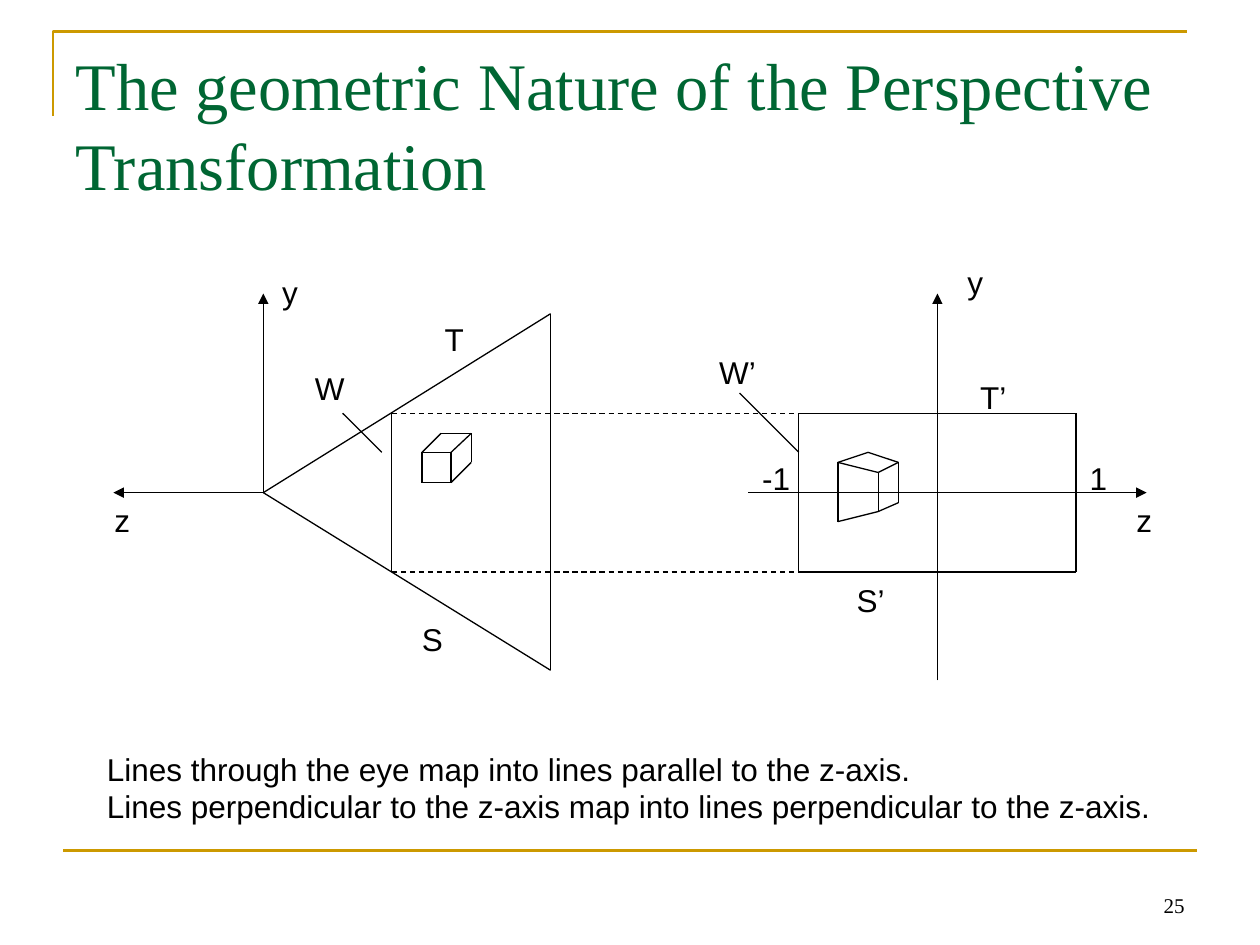
from dataclasses import dataclass

from lxml import etree
from pptx import Presentation
from pptx.dml.color import RGBColor
from pptx.enum.dml import MSO_LINE_DASH_STYLE as Dash
from pptx.enum.shapes import MSO_CONNECTOR as Connector
from pptx.enum.text import MSO_ANCHOR as Anchor, MSO_AUTO_SIZE as AutoSize, PP_ALIGN as Align
from pptx.oxml.ns import qn
from pptx.util import Inches, Pt


@dataclass(frozen=True)
class Theme:
    ink: RGBColor = RGBColor(0x00, 0x00, 0x00)
    heading: RGBColor = RGBColor(0x00, 0x66, 0x33)
    accent: RGBColor = RGBColor(0xCC, 0x99, 0x00)
    serif: str = "Times New Roman"
    sans: str = "Arial"
    title_size: int = 38
    label_size: int = 18
    number_size: int = 12
    thin: float = 0.75
    thick: float = 1.5


class SlideBuilder:
    def __init__(self, slide, theme):
        self.slide = slide
        self.theme = theme

    def set_font(self, para, name, size, color):
        para.font.name = name
        para.font.size = Pt(size)
        para.font.color.rgb = color

    def title(self, text, left, top, width, height):
        box = self.slide.shapes.title
        box.left, box.top, box.width, box.height = map(Inches, (left, top, width, height))
        frame = box.text_frame
        frame.text = text
        frame.word_wrap = True
        frame.auto_size = AutoSize.NONE
        frame.vertical_anchor = Anchor.TOP
        para = frame.paragraphs[0]
        para.alignment = Align.LEFT
        self.set_font(para, self.theme.serif, self.theme.title_size, self.theme.heading)

    def label(self, text, left, top, width, height=0.4):
        box = self.slide.shapes.add_textbox(*map(Inches, (left, top, width, height)))
        frame = box.text_frame
        frame.text = text
        frame.word_wrap = False
        for para in frame.paragraphs:
            self.set_font(para, self.theme.sans, self.theme.label_size, self.theme.ink)

    def page_number(self, text, left, top, width, height):
        box = self.slide.shapes.add_textbox(*map(Inches, (left, top, width, height)))
        frame = box.text_frame
        frame.text = text
        frame.word_wrap = True
        frame.vertical_anchor = Anchor.BOTTOM
        para = frame.paragraphs[0]
        para.alignment = Align.RIGHT
        self.set_font(para, self.theme.serif, self.theme.number_size, self.theme.ink)

    def line(self, start, end, dashed=False, arrow=False, color=None, weight=None):
        line = self.slide.shapes.add_connector(
            Connector.STRAIGHT, *map(Inches, (*start, *end)))
        line.line.color.rgb = color or self.theme.ink
        line.line.width = Pt(weight or self.theme.thin)
        if dashed:
            line.line.dash_style = Dash.DASH
        if arrow:
            etree.SubElement(line.line._get_or_add_ln(), qn("a:tailEnd"), type="triangle")
        etree.SubElement(line._element.spPr, qn("a:effectLst"))

    def edges(self, points, pairs):
        for first, last in pairs:
            self.line(points[first], points[last])

    def corner(self, points):
        start, *rest = [tuple(map(Inches, point)) for point in points]
        builder = self.slide.shapes.build_freeform(*start)
        builder.add_line_segments(rest, close=False)
        shape = builder.convert_to_shape()
        shape.shadow.inherit = False
        shape.fill.background()
        shape.line.color.rgb = self.theme.accent
        shape.line.width = Pt(self.theme.thick)


def main():
    deck = Presentation()
    deck.slide_width, deck.slide_height = Inches(10), Inches(7.5)
    theme = Theme()
    page = SlideBuilder(deck.slides.add_slide(deck.slide_layouts[5]), theme)

    # Page frame, title and number
    page.corner([(0.42, 0.92), (0.42, 0.25), (9.42, 0.25)])
    page.line((0.5, 6.75), (9.5, 6.75), color=theme.accent, weight=theme.thick)
    page.title("The geometric Nature of the Perspective Transformation", 0.5, 0.3, 9, 1.25)
    page.page_number("25", 7.17, 6.83, 2.33, 0.5)

    # Levels shared by both diagrams
    axis_y, window_top, window_bottom, arrow_top = 3.91, 3.28, 4.54, 2.33

    # Eye space: axes, view volume and window
    eye = (2.09, axis_y)
    far_top, far_bottom = (4.37, 2.49), (4.37, 5.32)
    near_x = 3.11
    page.line(eye, (eye[0], arrow_top), arrow=True)
    page.line(eye, (0.9, axis_y), arrow=True)
    page.edges([eye, far_top, far_bottom], [(0, 1), (0, 2), (1, 2)])
    page.line((near_x, window_top), (near_x, window_bottom))

    # Projection from the window to the canonical volume
    page.line((near_x, window_top), (6.42, window_top), dashed=True)
    page.line((near_x, window_bottom), (6.5, window_bottom), dashed=True)

    # Transformed space: axes and canonical volume
    left, right = 6.34, 8.54
    page.line((5.94, axis_y), (9.1, axis_y), arrow=True)
    page.line((7.44, 5.4), (7.44, arrow_top), arrow=True)
    volume = [(left, window_top), (right, window_top),
              (right, window_bottom), (left, window_bottom)]
    page.edges(volume, [(0, 1), (3, 2), (3, 0), (2, 1)])

    # Boxes: front face 0-3, back top 4-5, back bottom right 6
    box_edges = [(0, 1), (1, 2), (2, 3), (3, 0), (0, 4), (4, 5), (1, 5), (5, 6), (2, 6)]
    cube = [(3.35, 3.59), (3.58, 3.59), (3.58, 3.83), (3.35, 3.83),
            (3.5, 3.44), (3.74, 3.44), (3.74, 3.67)]
    warped_cube = [(6.65, 3.67), (6.97, 3.75), (6.97, 4.06), (6.65, 4.14),
                   (6.89, 3.59), (7.13, 3.67), (7.13, 3.99)]
    for corners in (cube, warped_cube):
        page.edges(corners, box_edges)

    # Window leaders
    page.line((2.72, window_top), (3.03, 3.59))
    page.line((5.87, 3.12), (left, 3.59))

    # Labels
    for text, x, y, width in [
        ("y", 2.14, 2.12, 0.32), ("z", 0.81, 3.93, 0.32),
        ("W", 2.4, 2.88, 0.43), ("T", 3.43, 2.49, 0.35), ("S", 3.25, 4.87, 0.36),
        ("y", 7.58, 2.04, 0.32), ("z", 8.92, 3.93, 0.32),
        ("W’", 5.61, 2.75, 0.49), ("T’", 7.68, 2.95, 0.41), ("S’", 6.7, 4.56, 0.42),
        ("-1", 5.95, 3.59, 0.42), ("1", 8.55, 3.59, 0.34),
    ]:
        page.label(text, x, y, width)

    # Explanation
    page.label("Lines through the eye map into lines parallel to the z-axis.\n"
               "Lines perpendicular to the z-axis map into lines perpendicular to the z-axis.",
               0.75, 5.9, 8.48, 1)

    deck.save("out.pptx")


if __name__ == "__main__":
    main()
